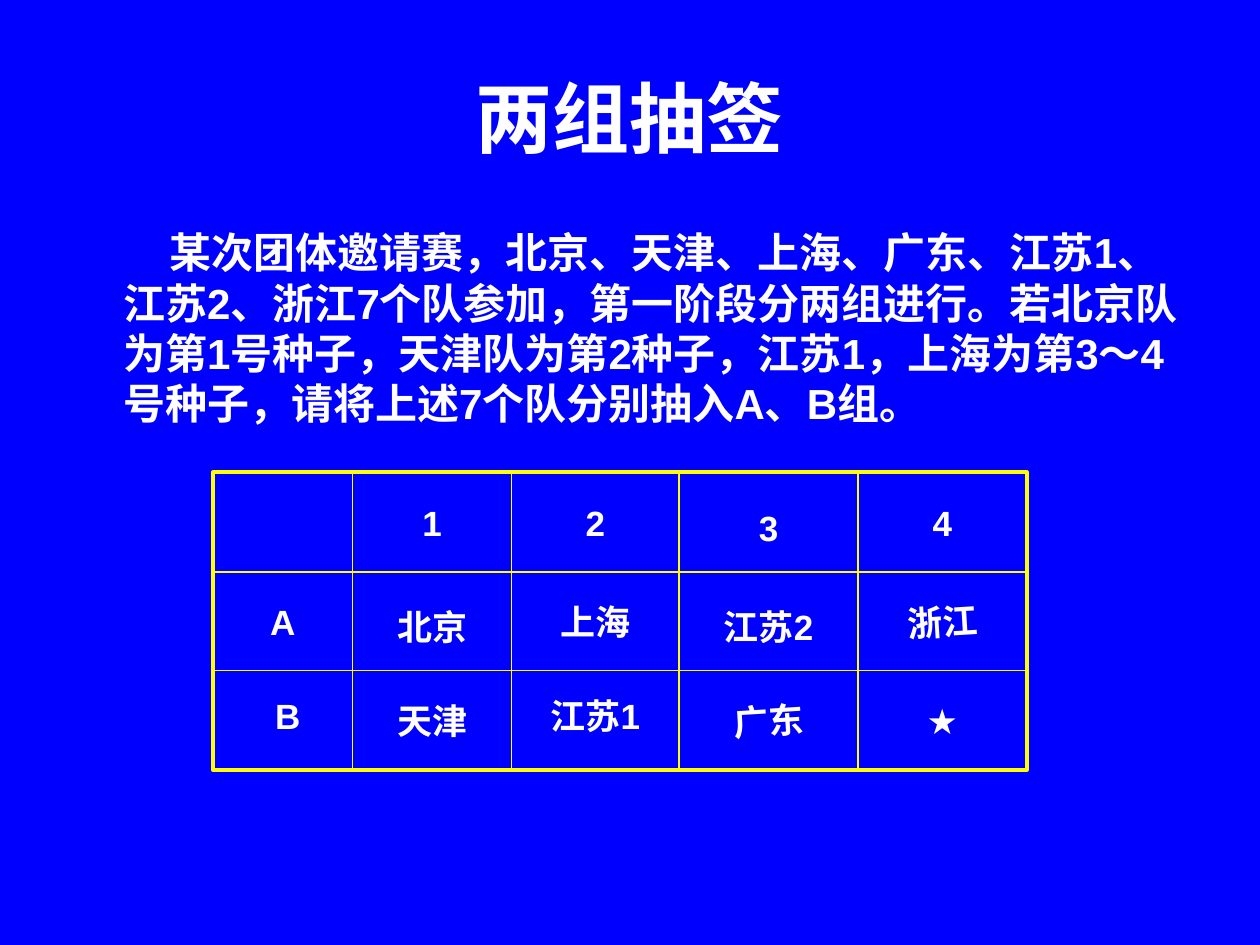
"""Build a slide that shows a two-group draw of seven teams."""
from dataclasses import dataclass

from lxml import etree
from pptx import Presentation
from pptx.dml.color import RGBColor
from pptx.enum.shapes import MSO_CONNECTOR, MSO_SHAPE
from pptx.enum.text import MSO_ANCHOR, PP_ALIGN
from pptx.oxml.ns import qn
from pptx.slide import Slide
from pptx.text.text import TextFrame
from pptx.util import Inches, Pt

MIDDLE, TOP = MSO_ANCHOR.MIDDLE, MSO_ANCHOR.TOP
CENTER, LEFT = PP_ALIGN.CENTER, PP_ALIGN.LEFT
RECT, STRAIGHT = MSO_SHAPE.RECTANGLE, MSO_CONNECTOR.STRAIGHT

COLORS = {"back": "0000FF", "text": "FFFFFF", "line": "FFFF00"}
FONT = "Arial"
COLS = [1.69, 2.8, 4.06, 5.39, 6.81, 8.15]
ROWS = [3.75, 4.54, 5.32, 6.11]
GAP = 0.08
INTRO = (
    "某次团体邀请赛，北京、天津、上海、广东、江苏1、江苏2、浙江7个队参加，"
    "第一阶段分两组进行。若北京队为第1号种子，天津队为第2种子，江苏1，"
    "上海为第3～4号种子，请将上述7个队分别抽入A、B组。"
)


@dataclass
class Cell:
    """Text in a grid cell, with growth past the usual inset."""

    text: str
    row: int
    col: int
    up: float = 0
    down: float = 0
    wide: float = 0
    turn: float = 0


CELLS = [
    Cell("1", 0, 1),
    Cell("2", 0, 2),
    Cell("3", 0, 3, down=GAP),
    Cell("4", 0, 4),
    Cell("A", 1, 0, up=GAP, down=GAP),
    Cell("北京", 1, 1, down=GAP),
    Cell("上海", 1, 2),
    Cell("江苏2", 1, 3, down=GAP),
    Cell("浙江", 1, 4, turn=-3.5),
    Cell("B", 2, 0, up=GAP, wide=GAP),
    Cell("天津", 2, 1),
    Cell("江苏1", 2, 2, up=GAP),
    Cell("广东", 2, 3, turn=-3.5),
    Cell("★", 2, 4),
]


def color(name: str) -> RGBColor:
    """Look up a named color."""
    return RGBColor.from_string(COLORS[name])


def write(frame: TextFrame, text: str, size: int, align: PP_ALIGN,
          anchor: MSO_ANCHOR, wrap: bool) -> None:
    """Fill a frame with bold text in one style."""
    frame.text = text
    frame.word_wrap = wrap
    frame.vertical_anchor = anchor
    para = frame.paragraphs[0]
    para.alignment = align
    font = para.runs[0].font
    font.name, font.size, font.bold = FONT, Pt(size), True
    font.color.rgb = color("text")


def add_title(slide: Slide, text: str) -> None:
    """Place and style the title."""
    title = slide.shapes.title
    title.left, title.top = Inches(0.5), Inches(0.3)
    title.width, title.height = Inches(9), Inches(1.25)
    write(title.text_frame, text, 44, CENTER, MIDDLE, True)


def add_intro(slide: Slide, text: str) -> None:
    """Add the paragraph with its first line indented."""
    box = slide.shapes.add_textbox(
        Inches(0.5), Inches(1.75), Inches(9), Inches(4.95))
    write(box.text_frame, text, 24, LEFT, TOP, True)
    para = box.text_frame.paragraphs[0]
    para.space_before = Pt(6)
    props = para._p.get_or_add_pPr()
    props.set("marL", str(Inches(0.38)))
    props.set("indent", str(Inches(0.37)))


def add_frame(slide: Slide) -> None:
    """Draw the outer border of the grid."""
    frame = slide.shapes.add_shape(
        RECT, Inches(COLS[0]), Inches(ROWS[0]),
        Inches(COLS[-1] - COLS[0]), Inches(ROWS[-1] - ROWS[0]))
    frame.shadow.inherit = False
    frame.fill.background()
    frame.line.color.rgb = color("line")
    frame.line.width = Pt(2.25)


def add_line(slide: Slide, x1: float, y1: float, x2: float, y2: float) -> None:
    """Draw one thin inner line."""
    line = slide.shapes.add_connector(
        STRAIGHT, Inches(x1), Inches(y1), Inches(x2), Inches(y2))
    line.line.color.rgb = color("line")
    line.line.width = Pt(0.75)
    etree.SubElement(line._element.spPr, qn("a:effectLst"))


def add_cell(slide: Slide, cell: Cell) -> None:
    """Add the text of one cell."""
    left = COLS[cell.col] + GAP
    top = ROWS[cell.row] + GAP - cell.up
    right = COLS[cell.col + 1] - GAP + cell.wide
    base = ROWS[cell.row + 1] - GAP + cell.down
    box = slide.shapes.add_textbox(
        Inches(left), Inches(top), Inches(right - left), Inches(base - top))
    box.rotation = cell.turn
    write(box.text_frame, cell.text, 20, CENTER, MIDDLE, False)


def main() -> None:
    """Build and save the deck."""
    deck = Presentation()
    deck.slide_width, deck.slide_height = Inches(10), Inches(7.5)
    slide = deck.slides.add_slide(deck.slide_layouts[5])
    slide.background.fill.solid()
    slide.background.fill.fore_color.rgb = color("back")
    add_title(slide, "两组抽签")
    add_intro(slide, INTRO)
    add_frame(slide)
    for y in ROWS[1:-1]:
        add_line(slide, COLS[0], y, COLS[-1], y)
    for x in COLS[1:-1]:
        add_line(slide, x, ROWS[0], x, ROWS[-1])
    for cell in CELLS:
        add_cell(slide, cell)
    deck.save("out.pptx")


if __name__ == "__main__":
    main()
